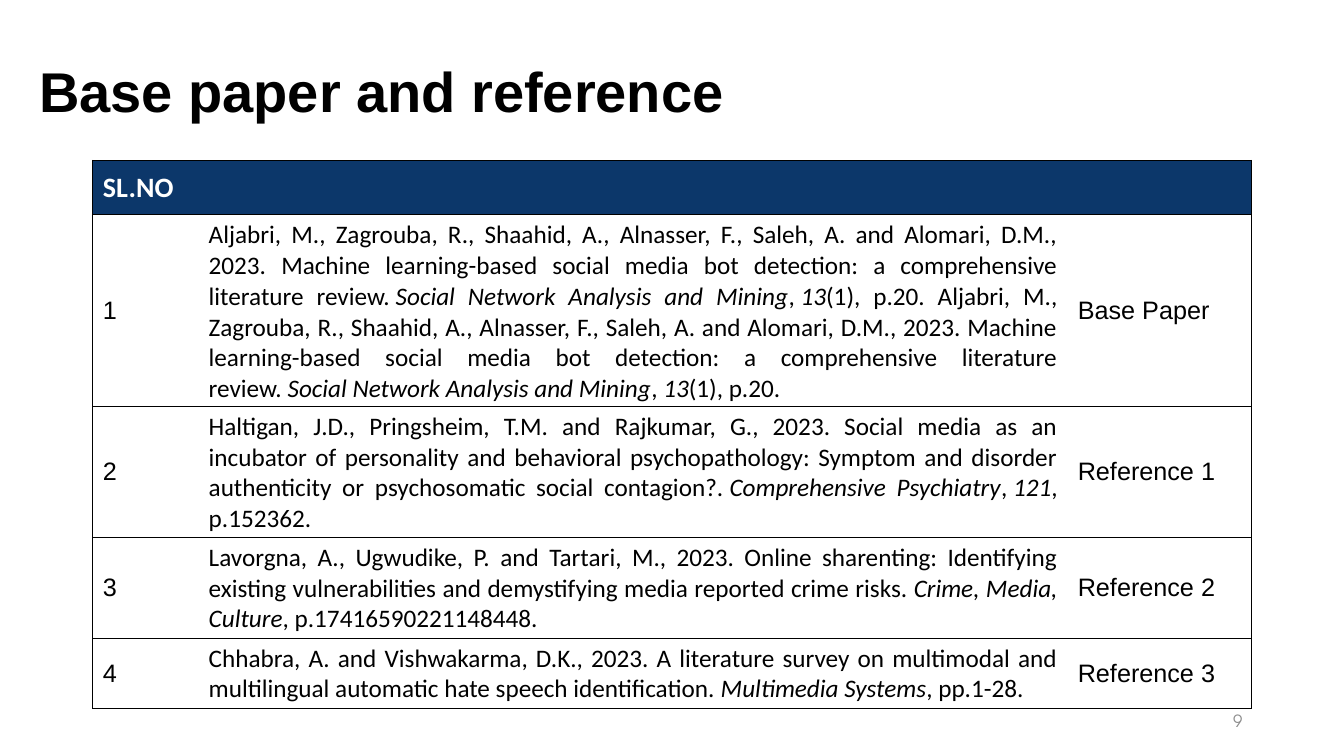
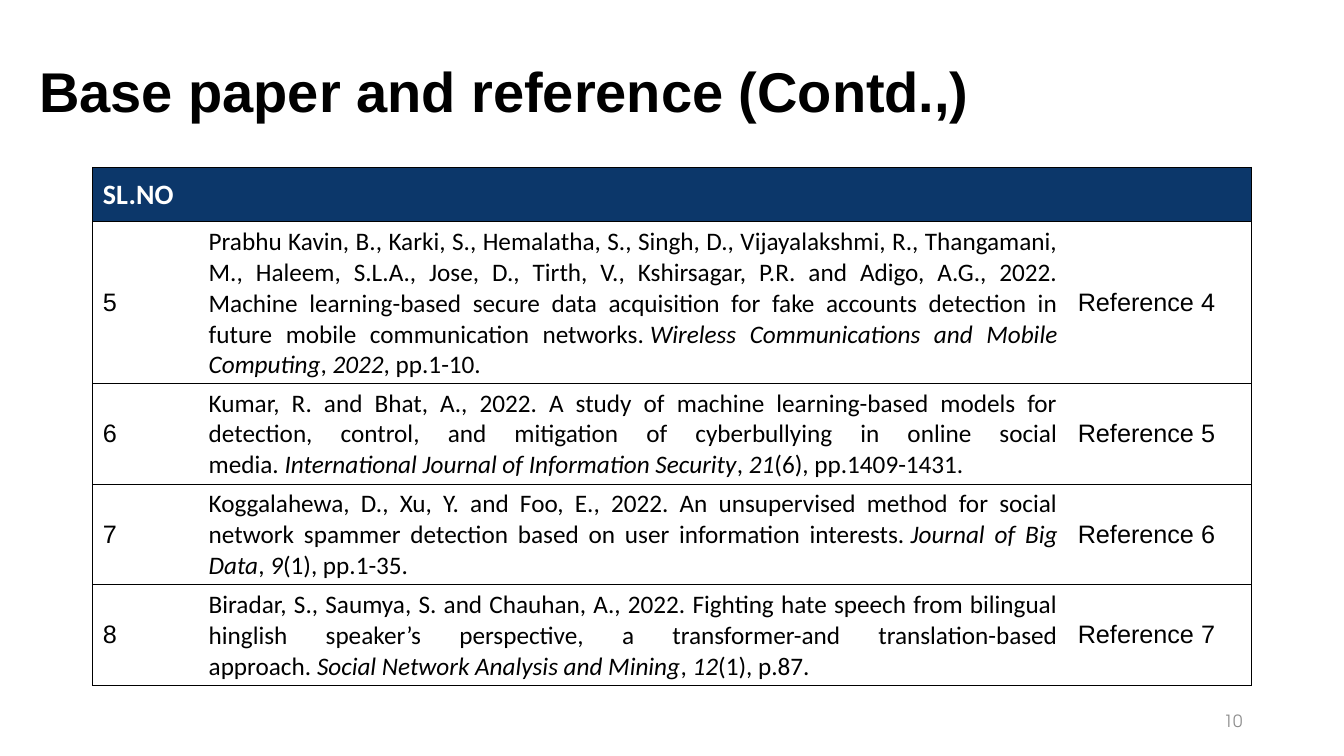
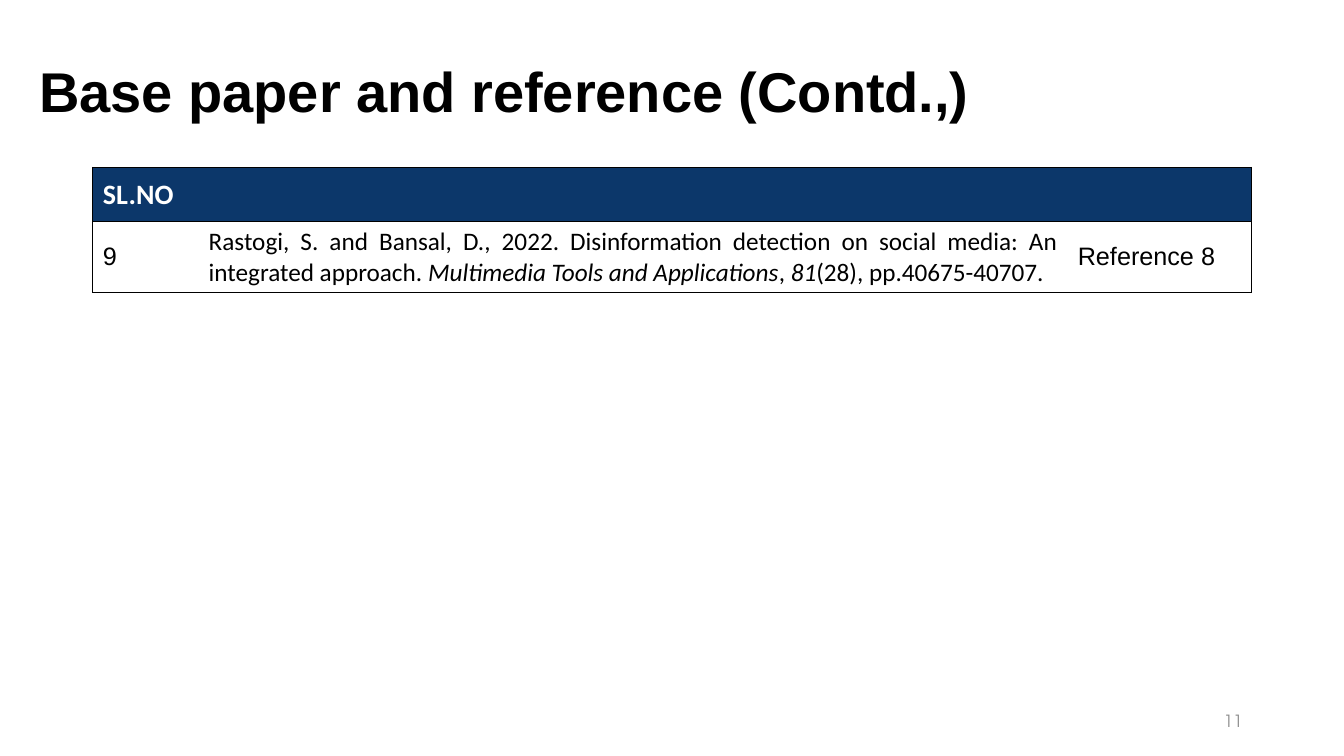
import pptx
import pptx.util
import pptx.dml.color
import pptx.enum.text
import lxml.etree

Inches = pptx.util.Inches
Pt = pptx.util.Pt
ALIGN = pptx.enum.text.PP_ALIGN
MIDDLE = pptx.enum.text.MSO_ANCHOR.MIDDLE

# Shared look
COLORS = {"text": "000000", "header": "0C376A", "header_text": "FFFFFF",
          "number": "8C8C8C", "border": "000000"}
BODY_FONT, CITATION_FONT, NUMBER_FONT = "Arial", "Calibri", "TeX Gyre Adventor"
COLUMN_WIDTHS = (1.05, 8.62, 1.82)
HEADER_HEIGHT, ROW_HEIGHT = 0.54, 0.41
TABLE_LEFT = 0.92
BORDER_WIDTH = 0.5
NO_BREAK_SPACE = chr(160)

# Content: asterisks enclose italic words
TITLE = "Base paper and reference"
CONTINUED = TITLE + " (Contd.,)"
BOT_DETECTION = (
    "Aljabri, M., Zagrouba, R., Shaahid, A., Alnasser, F., Saleh, A. and Alomari, D.M., 2023. "
    "Machine learning-based social media bot detection: a comprehensive literature review. "
    "*Social Network Analysis and Mining*, *13*(1), p.20.")

CITATIONS_FIRST = [
    f"{BOT_DETECTION} {BOT_DETECTION}",
    "Haltigan, J.D., Pringsheim, T.M. and Rajkumar, G., 2023. Social media as an incubator of "
    "personality and behavioral psychopathology: Symptom and disorder authenticity or "
    "psychosomatic social contagion?. *Comprehensive Psychiatry*, *121*, p.152362.",
    "Lavorgna, A., Ugwudike, P. and Tartari, M., 2023. Online sharenting: Identifying existing "
    "vulnerabilities and demystifying media reported crime risks. *Crime, Media, Culture*, "
    "p.17416590221148448.",
    "Chhabra, A. and Vishwakarma, D.K., 2023. A literature survey on multimodal and multilingual "
    "automatic hate speech identification. *Multimedia Systems*, pp.1-28.",
]
CITATIONS_SECOND = [
    "Prabhu Kavin, B., Karki, S., Hemalatha, S., Singh, D., Vijayalakshmi, R., Thangamani, M., "
    "Haleem, S.L.A., Jose, D., Tirth, V., Kshirsagar, P.R. and Adigo, A.G., 2022. Machine "
    "learning-based secure data acquisition for fake accounts detection in future mobile "
    "communication networks. *Wireless Communications and Mobile Computing*, *2022*, pp.1-10.",
    "Kumar, R. and Bhat, A., 2022. A study of machine learning-based models for detection, "
    "control, and mitigation of cyberbullying in online social media. "
    "*International Journal of Information Security*, *21*(6), pp.1409-1431.",
    "Koggalahewa, D., Xu, Y. and Foo, E., 2022. An unsupervised method for social network "
    "spammer detection based on user information interests. *Journal of Big Data*, *9*(1), "
    "pp.1-35.",
    "Biradar, S., Saumya, S. and Chauhan, A., 2022. Fighting hate speech from bilingual hinglish "
    "speaker’s perspective, a transformer-and translation-based approach. "
    "*Social Network Analysis and Mining*, *12*(1), p.87.",
]
CITATIONS_THIRD = [
    "Rastogi, S. and Bansal, D., 2022. Disinformation detection on social media: An integrated "
    "approach. *Multimedia Tools and Applications*, *81*(28), pp.40675-40707.",
]

# Title, page number, table top, table height, first entry, citations
SLIDES = [
    (TITLE, 9, 1.59, 5.44, 1, CITATIONS_FIRST),
    (CONTINUED, 10, 1.66, 5.14, 5, CITATIONS_SECOND),
    (CONTINUED, 11, 1.66, 1.24, 9, CITATIONS_THIRD),
]


def write_text(text_frame, text, *, size=18, font=BODY_FONT, color="text", bold=False,
               align=ALIGN.JUSTIFY, line_spacing=None):
    """Write one paragraph; a no-break space leads into each italic part."""
    paragraph = text_frame.paragraphs[0]
    paragraph.alignment = align
    if line_spacing:
        paragraph.line_spacing = line_spacing
    parts = text.split("*")
    for index, part in enumerate(parts):
        italic = index % 2 == 1
        if not italic and index < len(parts) - 1:
            part = part.rstrip() + NO_BREAK_SPACE
        run = paragraph.add_run()
        run.text = part
        run.font.size = Pt(size)
        run.font.name = font
        run.font.bold = bold
        run.font.italic = italic
        run.font.color.rgb = pptx.dml.color.RGBColor.from_string(COLORS[color])


def add_text_box(slide, box, text, **text_format):
    shape = slide.shapes.add_textbox(*map(Inches, box))
    shape.text_frame.word_wrap = True
    shape.text_frame.vertical_anchor = MIDDLE
    write_text(shape.text_frame, text, **text_format)


def set_borders(cell, visible_sides):
    properties = cell._tc.get_or_add_tcPr()
    namespace = "{http://schemas.openxmlformats.org/drawingml/2006/main}"
    for side in "LRTB":
        line = lxml.etree.SubElement(properties, f"{namespace}ln{side}")
        if side in visible_sides:
            line.set("w", str(Pt(BORDER_WIDTH)))
            fill = lxml.etree.SubElement(line, f"{namespace}solidFill")
            lxml.etree.SubElement(fill, f"{namespace}srgbClr", val=COLORS["border"])
        else:
            lxml.etree.SubElement(line, f"{namespace}noFill")


def format_cell(cell, row_index, column_index):
    # Horizontal rules everywhere, vertical ones only at the outer edges
    set_borders(cell, "TB" + ("L", "", "R")[column_index])
    cell.vertical_anchor = MIDDLE
    if row_index == 0:
        cell.fill.solid()
        cell.fill.fore_color.rgb = pptx.dml.color.RGBColor.from_string(COLORS["header"])
    else:
        cell.fill.background()


def add_reference_table(slide, top, height, first_entry, citations):
    frame = slide.shapes.add_table(len(citations) + 1, len(COLUMN_WIDTHS), Inches(TABLE_LEFT),
                                   Inches(top), Inches(sum(COLUMN_WIDTHS)), Inches(height))
    table = frame.table
    table.first_row = table.horz_banding = False
    for column, width in zip(table.columns, COLUMN_WIDTHS):
        column.width = Inches(width)
    for row_index, row in enumerate(table.rows):
        row.height = Inches(ROW_HEIGHT if row_index else HEADER_HEIGHT)
        for column_index, cell in enumerate(row.cells):
            format_cell(cell, row_index, column_index)
    frame.height = Inches(height)

    write_text(table.cell(0, 0).text_frame, "SL.NO", size=20, font=CITATION_FONT,
               color="header_text", bold=True)
    for row_index, citation in enumerate(citations, start=1):
        entry = first_entry + row_index - 1
        label = "Base Paper" if entry == 1 else f"Reference {entry - 1}"
        write_text(table.cell(row_index, 0).text_frame, str(entry))
        write_text(table.cell(row_index, 1).text_frame, citation, font=CITATION_FONT)
        write_text(table.cell(row_index, 2).text_frame, label)


def main():
    presentation = pptx.Presentation()
    presentation.slide_width = Inches(13.33)
    presentation.slide_height = Inches(7.5)
    for title, page, top, height, first_entry, citations in SLIDES:
        slide = presentation.slides.add_slide(presentation.slide_layouts[6])
        add_text_box(slide, (0.29, 0.21, 11.5, 1.45), title, size=40, bold=True,
                     align=ALIGN.LEFT, line_spacing=0.9)
        add_text_box(slide, (9.42, 6.95, 3, 0.4), str(page), size=12, font=NUMBER_FONT,
                     color="number", align=ALIGN.RIGHT)
        add_reference_table(slide, top, height, first_entry, citations)
    presentation.save("out.pptx")


if __name__ == "__main__":
    main()
